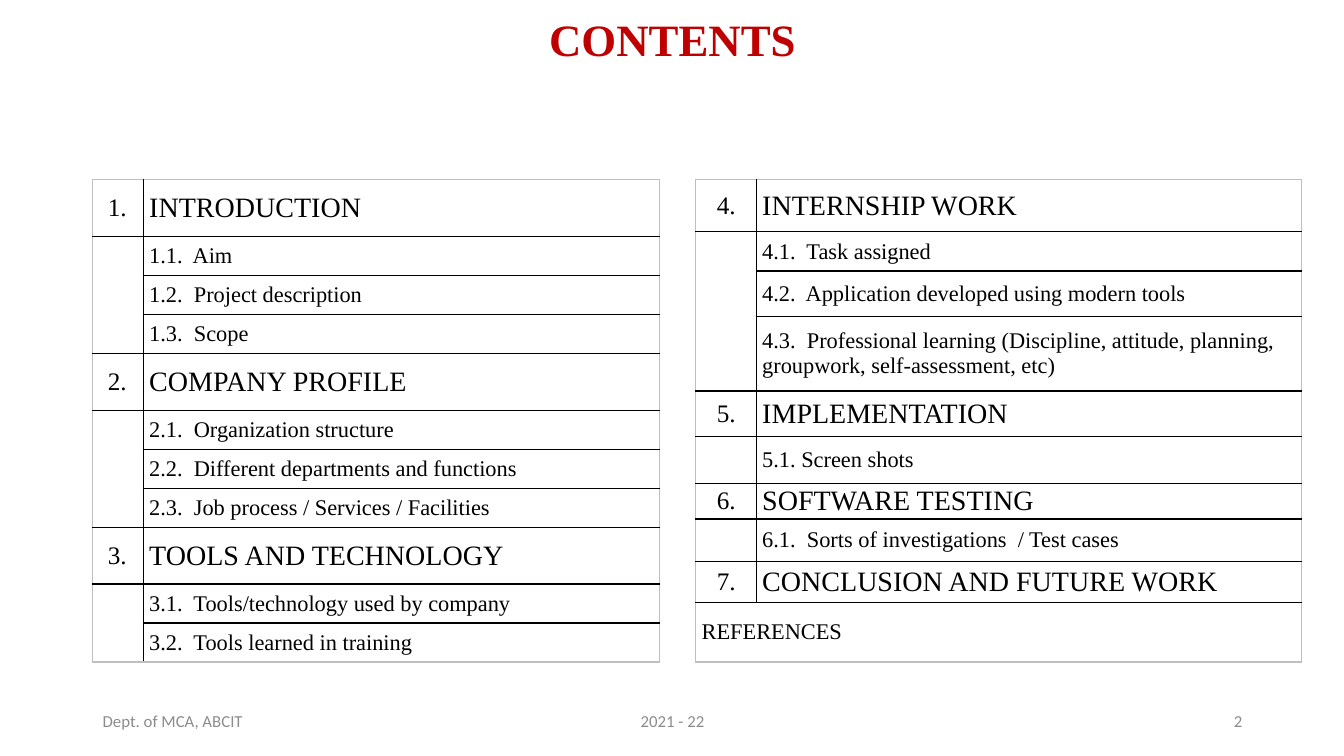
import pptx
import pptx.util
import pptx.dml.color
import pptx.enum.text
from pptx.oxml import parse_xml
from pptx.oxml.ns import nsdecls

WIDE, HIGH = 13.33, 7.5
TOP, TALL = 1.78, 4.79
SERIF, SANS = "Times New Roman", "Calibri"
BLACK, RED, GREY, EDGE = "000000", "C00000", "8C8C8C", "BFBFBF"
ALIGN = pptx.enum.text.PP_ALIGN
MIDDLE = pptx.enum.text.MSO_ANCHOR.MIDDLE

# Each row: chapter number, topic, height. Without a topic the row is merged.
FIRST = [
    (1, "INTRODUCTION", 0.57),
    (0, "1.1.  Aim", 0.39),
    (0, "1.2.  Project description", 0.39),
    (0, "1.3.  Scope", 0.39),
    (2, "COMPANY PROFILE", 0.57),
    (0, "2.1.  Organization structure", 0.39),
    (0, "2.2.  Different departments and functions", 0.39),
    (0, "2.3.  Job process / Services / Facilities", 0.39),
    (3, "TOOLS AND TECHNOLOGY", 0.57),
    (0, "3.1.  Tools/technology used by company", 0.39),
    (0, "3.2.  Tools learned in training", 0.39),
]
SECOND = [
    (4, "INTERNSHIP WORK", 0.52),
    (0, "4.1.  Task assigned", 0.39),
    (0, "4.2.  Application developed using modern tools", 0.45),
    (0, "4.3.  Professional learning (Discipline, attitude, planning, "
        "groupwork, self-assessment, etc)", 0.74),
    (5, "IMPLEMENTATION", 0.45),
    (0, "5.1. Screen shots", 0.47),
    (6, "SOFTWARE TESTING", 0.35),
    (0, "6.1.  Sorts of investigations  / Test cases", 0.42),
    (7, "CONCLUSION AND FUTURE WORK", 0.41),
    ("REFERENCES", None, 0.59),
]


def inch(size):
    return pptx.util.Inches(size)


def color(code):
    return pptx.dml.color.RGBColor.from_string(code)


def write(frame, text, size, face, code, align=ALIGN.LEFT):
    frame.word_wrap = True
    para = frame.paragraphs[0]
    para.text = text
    para.alignment = align
    para.font.size = pptx.util.Pt(size)
    para.font.name = face
    para.font.color.rgb = color(code)
    for run in para.runs:
        run.font.size = pptx.util.Pt(size)
    return para


def add_title(slide, text):
    title = slide.shapes.title
    title.left, title.top = inch(2.17), 0
    title.width, title.height = inch(9), inch(0.84)
    title.text_frame.vertical_anchor = MIDDLE
    para = write(title.text_frame, text, 32, SERIF, RED, ALIGN.CENTER)
    para.font.bold = True
    para.line_spacing = 0.9


def add_foot(slide, text, left, width, align):
    box = slide.shapes.add_textbox(inch(left), inch(6.95), inch(width), inch(0.4))
    box.text_frame.vertical_anchor = MIDDLE
    write(box.text_frame, text, 12, SANS, GREY, align)


def add_number(cell, start, indent):
    """Number the cell as a list item; a list item needs one character."""
    para = write(cell.text_frame, " ", 18, SERIF, BLACK)
    props = para._p.get_or_add_pPr()
    props.set("marL", str(inch(indent + 0.25)))
    props.set("indent", str(inch(-0.25)))
    mark = parse_xml(f'<a:buAutoNum {nsdecls("a")} type="arabicPeriod" '
                     f'startAt="{start}"/>')
    props.insert_element_before(mark, "a:tabLst", "a:defRPr", "a:extLst")


def add_edge(cell, side, code):
    """Draw one cell border; a code of None leaves it blank."""
    fill = (f'<a:solidFill><a:srgbClr val="{code}"/></a:solidFill>'
            if code else "<a:noFill/>")
    cell._tc.get_or_add_tcPr().append(parse_xml(
        f'<a:ln{side} {nsdecls("a")} w="12700">{fill}</a:ln{side}>'))


def block_end(rows, row, col):
    """Row after the merged block that holds this cell."""
    end = row + 1
    if col == 0 and not rows[row][0]:
        while end < len(rows) and not rows[end][0]:
            end += 1
    return end


def frame_cell(cell, rows, row, col):
    inner = BLACK if rows[row][1] else EDGE
    add_edge(cell, "L", inner if col else EDGE)
    add_edge(cell, "R", EDGE if col else inner)
    inside = row and block_end(rows, row - 1, col) > row
    add_edge(cell, "T", None if inside else BLACK if row else EDGE)
    end = block_end(rows, row, col)
    add_edge(cell, "B", EDGE if end == len(rows) else BLACK)
    cell.fill.background()


def merge_cells(table, rows):
    for row, (label, topic, _) in enumerate(rows):
        if topic is None:
            table.cell(row, 0).merge(table.cell(row, 1))
        end = block_end(rows, row, 0)
        if end > row + 1 and rows[row - 1][0]:
            table.cell(row, 0).merge(table.cell(end - 1, 0))


def add_list(slide, rows, left, widths, indent):
    scale = TALL / sum(row[2] for row in rows)
    table = slide.shapes.add_table(len(rows), 2, inch(left), inch(TOP),
                                   inch(sum(widths)), inch(TALL)).table
    table.first_row = table.horz_banding = False
    for col, width in enumerate(widths):
        table.columns[col].width = inch(width)
    for row, (label, topic, height) in enumerate(rows):
        table.rows[row].height = inch(height * scale)
        for col in range(2):
            cell = table.cell(row, col)
            cell.margin_left = cell.margin_right = inch(0.06)
            cell.margin_top = cell.margin_bottom = 0
            cell.vertical_anchor = MIDDLE
            frame_cell(cell, rows, row, col)
            if col == 0 and label and topic:
                add_number(cell, label, indent)
            else:
                text = topic if col else label
                size = 20 if label and topic else 16
                write(cell.text_frame, text or "", size, SERIF, BLACK)
    merge_cells(table, rows)


def main():
    deck = pptx.Presentation()
    deck.slide_width, deck.slide_height = inch(WIDE), inch(HIGH)
    slide = deck.slides.add_slide(deck.slide_layouts.get_by_name("Title Only"))
    add_title(slide, "CONTENTS")
    add_foot(slide, "Dept. of MCA, ABCIT", 0.92, 3, ALIGN.LEFT)
    add_foot(slide, "2021 - 22", 4.42, 4.5, ALIGN.CENTER)
    add_foot(slide, "2", 9.42, 3, ALIGN.RIGHT)
    add_list(slide, FIRST, 0.92, (0.5, 5.12), 0.09)
    add_list(slide, SECOND, 6.9, (0.6, 5.41), 0.15)
    deck.save("out.pptx")


if __name__ == "__main__":
    main()
